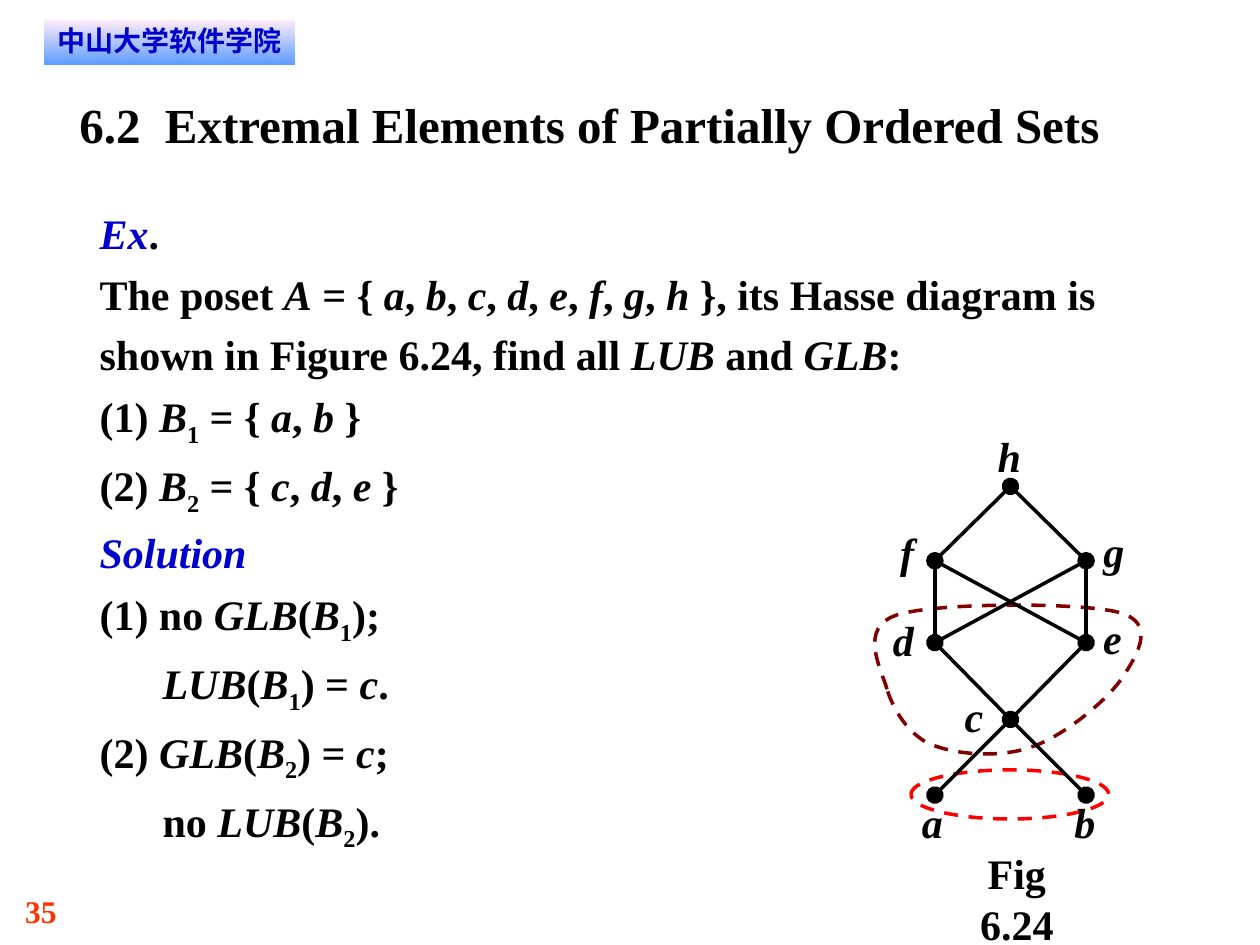
from lxml import etree
from pptx import Presentation
from pptx.dml.color import RGBColor
from pptx.enum.dml import MSO_LINE
from pptx.enum.shapes import MSO_CONNECTOR, MSO_SHAPE
from pptx.enum.text import MSO_ANCHOR, MSO_AUTO_SIZE, PP_ALIGN
from pptx.oxml.ns import qn
from pptx.util import Inches, Pt

DASH = MSO_LINE.DASH
STRAIGHT = MSO_CONNECTOR.STRAIGHT
CENTER, LEFT = PP_ALIGN.CENTER, PP_ALIGN.LEFT
TOP = MSO_ANCHOR.TOP
BLACK = RGBColor(0x00, 0x00, 0x00)
BLUE = RGBColor(0x00, 0x00, 0xCC)
ORANGE = RGBColor(0xFF, 0x33, 0x00)
RED = RGBColor(0xFF, 0x00, 0x00)
MAROON = RGBColor(0x80, 0x00, 0x00)
BANNER_COLORS = (RGBColor(0xFF, 0xEB, 0xFA), RGBColor(0x5E, 0x9E, 0xFF))
SERIF, SANS = "Times New Roman", "DejaVu Sans"

# Content: *italic* and ~subscript~
SCHOOL = "中山大学软件学院"
TITLE = "6.2  Extremal Elements of Partially Ordered Sets"
CAPTION = "Fig 6.24"
PAGE_NUMBER = "35"
HEADINGS = ("Ex", "Solution")
BODY = [
    "*Ex*.",
    "The poset *A* = { *a*, *b*, *c*, *d*, *e*, *f*, *g*, *h* }, its Hasse diagram is "
    "shown in Figure 6.24, find all *LUB* and *GLB*:",
    "(1) *B*~1~ = { *a*, *b* }",
    "(2) *B*~2~ = { *c*, *d*, *e* }",
    "*Solution*",
    "(1) no *GLB*(*B*~1~);",
    "\t*LUB*(*B*~1~) = *c*.",
    "(2) *GLB*(*B*~2~) = *c*;",
    "\tno *LUB*(*B*~2~).",
]

# Hasse diagram: node -> column, row, label centre x, label top
COLUMNS = (7.42, 8.02, 8.62)
ROWS = (3.86, 4.45, 5.1, 5.71, 6.31)
NODES = {
    "h": (1, 0, 8.01, 3.42),
    "f": (0, 1, 7.2, 4.18),
    "g": (2, 1, 8.84, 4.17),
    "d": (0, 2, 7.17, 4.88),
    "e": (2, 2, 8.83, 4.86),
    "c": (1, 3, 7.73, 5.48),
    "a": (0, 4, 7.4, 6.32),
    "b": (2, 4, 8.61, 6.32),
}
# lower node, upper node, nodes whose dot this edge carries
EDGES = [("a", "c", "ac"), ("b", "c", "b"), ("c", "d", "d"), ("c", "e", "e"),
         ("d", "f", "f"), ("e", "g", "g"), ("d", "g", ""), ("e", "f", ""),
         ("f", "h", "h"), ("g", "h", "")]
LABEL_WIDTH, LABEL_HEIGHT = 0.2, 0.4

# Outline of the set {c, d, e}: start point, then cubic curves
LOOP_START = (7.04, 5.47)
LOOP_CURVES = [
    ((6.99, 5.3), (6.81, 4.98), (7.12, 4.88)),
    ((7.43, 4.78), (8.58, 4.78), (8.88, 4.86)),
    ((9.18, 4.94), (9.03, 5.19), (8.92, 5.36)),
    ((8.81, 5.54), (8.46, 5.83), (8.21, 5.92)),
    ((7.96, 6.02), (7.61, 5.99), (7.42, 5.92)),
    ((7.23, 5.86), (7.09, 5.64), (7.04, 5.47)),
]
CURVE_STEPS = 16


def place(shape, left, top, width, height):
    shape.left, shape.top = Inches(left), Inches(top)
    shape.width, shape.height = Inches(width), Inches(height)


def prepare_frame(frame, wrap=True):
    frame.auto_size = MSO_AUTO_SIZE.NONE
    frame.word_wrap = wrap
    frame.vertical_anchor = TOP
    frame.margin_left = frame.margin_right = 0
    frame.margin_top = frame.margin_bottom = 0


def style(font, size, color=BLACK, italic=False, name=SERIF):
    font.name, font.size, font.bold, font.italic = name, Pt(size), True, italic
    font.color.rgb = color


def write(shape, text, size, align=LEFT, wrap=True, **look):
    prepare_frame(shape.text_frame, wrap)
    shape.text_frame.text = text
    para = shape.text_frame.paragraphs[0]
    para.alignment = align
    style(para.runs[0].font, size, **look)


def add_label(page, text, box, size, **options):
    label = page.shapes.add_textbox(*(Inches(length) for length in box))
    write(label, text, size, **options)


def write_rich(para, markup):
    for index, part in enumerate(markup.split("*")):
        italic = index % 2 == 1
        for piece_index, piece in enumerate(part.split("~")):
            if not piece:
                continue
            span = para.add_run()
            span.text = piece
            style(span.font, 24, BLUE if piece in HEADINGS else BLACK, italic)
            if piece_index % 2:
                span._r.get_or_add_rPr().set("baseline", "-25000")


def dash_outline(shape, color):
    shape.shadow.inherit = False
    shape.fill.background()
    shape.line.color.rgb = color
    shape.line.width = Pt(2)
    shape.line.dash_style = DASH


def loop_points():
    """Points along the loop, in EMU."""
    start = LOOP_START
    for first, second, end in LOOP_CURVES:
        for step in range(1, CURVE_STEPS + 1):
            t = step / CURVE_STEPS
            u = 1 - t
            yield tuple(
                Inches(u**3 * p + 3 * u * u * t * q + 3 * u * t * t * r + t**3 * s)
                for p, q, r, s in zip(start, first, second, end))
        start = end


def node_point(name):
    column, row = NODES[name][:2]
    return Inches(COLUMNS[column]), Inches(ROWS[row])


def add_edge(page, lower, upper, dots):
    edge = page.shapes.add_connector(STRAIGHT, *node_point(lower), *node_point(upper))
    edge.line.color.rgb = BLACK
    edge.line.width = Pt(2)
    outline = edge.line._get_or_add_ln()
    for name, tag in ((lower, "a:headEnd"), (upper, "a:tailEnd")):
        if name in dots:
            etree.SubElement(outline, qn(tag), type="oval", w="lg", len="lg")
    etree.SubElement(edge._element.spPr, qn("a:effectLst"))


def main():
    deck = Presentation()
    deck.slide_width, deck.slide_height = Inches(10), Inches(7.5)
    page = deck.slides.add_slide(deck.slide_layouts[1])
    title, body = page.placeholders

    # Page number and school banner
    add_label(page, PAGE_NUMBER, (0.2, 7.08, 0.75, 0.3), 18, color=ORANGE)
    banner = page.shapes.add_shape(MSO_SHAPE.RECTANGLE, 0, 0, 0, 0)
    place(banner, 0.35, 0.16, 1.99, 0.35)
    banner.shadow.inherit = False
    banner.line.fill.background()
    banner.fill.gradient()
    banner.fill.gradient_angle = 270
    for stop, color in zip(banner.fill.gradient_stops, BANNER_COLORS):
        stop.color.rgb = color
    write(banner, SCHOOL, 16, align=CENTER, color=BLUE, name=SANS)
    banner.text_frame.margin_top = Inches(0.03)

    # Title and example text
    place(title, 0.63, 0.75, 8.75, 0.47)
    write(title, TITLE, 28)
    place(body, 0.79, 1.57, 8.76, 5.2)
    frame = body.text_frame
    prepare_frame(frame)
    for index, markup in enumerate(BODY):
        para = frame.add_paragraph() if index else frame.paragraphs[0]
        para.line_spacing = 1.2
        para.space_before = Pt(0)
        properties = para._p.get_or_add_pPr()
        properties.set("marL", "0")
        properties.set("indent", "0")
        etree.SubElement(properties, qn("a:buNone"))
        tabs = etree.SubElement(properties, qn("a:tabLst"))
        etree.SubElement(tabs, qn("a:tab"), pos=str(Inches(1)), algn="l")
        write_rich(para, markup)

    # Figure caption and dashed sets
    add_label(page, CAPTION, (7.52, 6.73, 1.1, 0.8), 24, align=CENTER)
    pair = page.shapes.add_shape(MSO_SHAPE.OVAL, 0, 0, 0, 0)
    place(pair, 7.23, 6.11, 1.57, 0.39)
    dash_outline(pair, RED)
    builder = page.shapes.build_freeform(*(Inches(length) for length in LOOP_START))
    builder.add_line_segments(list(loop_points()), close=True)
    dash_outline(builder.convert_to_shape(), MAROON)

    # Hasse diagram
    for edge in EDGES:
        add_edge(page, *edge)
    for name, (_, _, center, top) in NODES.items():
        box = (center - LABEL_WIDTH / 2, top, LABEL_WIDTH, LABEL_HEIGHT)
        add_label(page, name, box, 24, align=CENTER, wrap=False, italic=True)

    deck.save("out.pptx")


if __name__ == "__main__":
    main()
